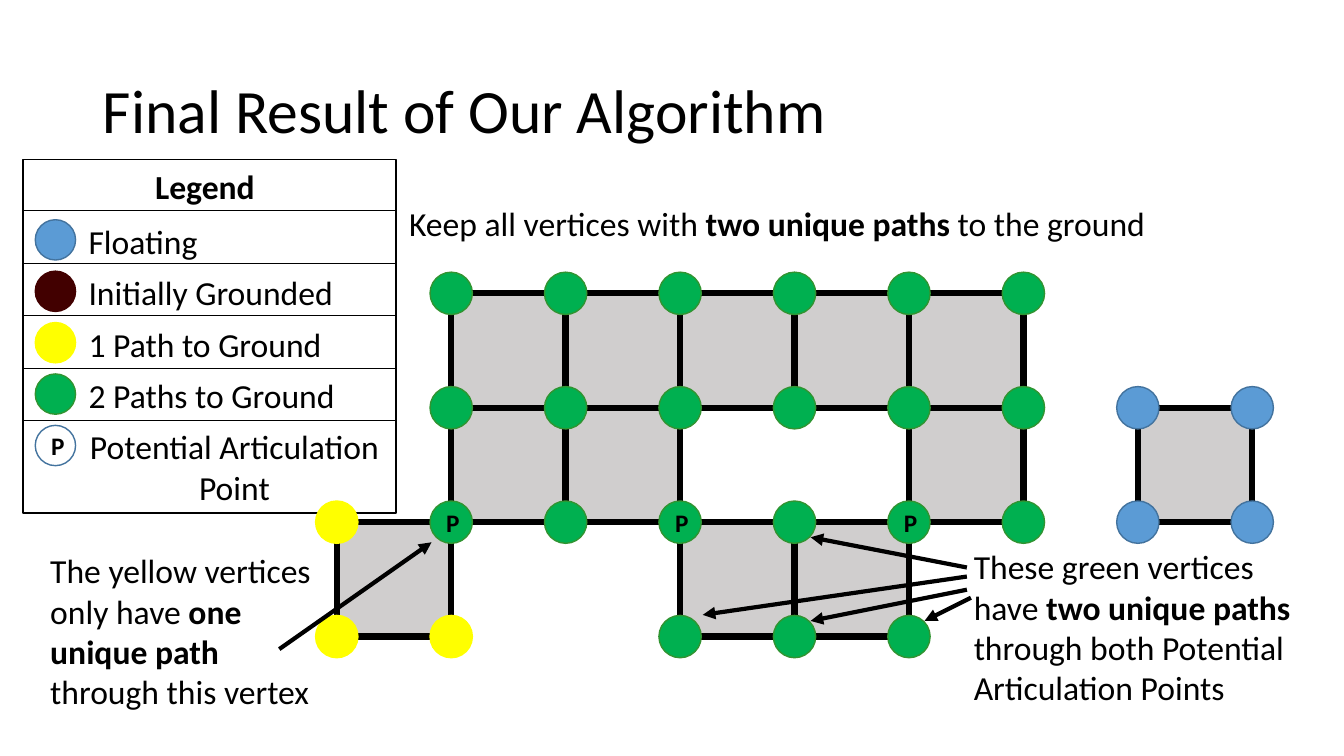
import pptx
import pptx.dml.color
import pptx.enum.shapes
import pptx.enum.text
import pptx.oxml.ns
import pptx.util
from lxml import etree

Inches, Pt = pptx.util.Inches, pptx.util.Pt
RGBColor = pptx.dml.color.RGBColor
MSO_SHAPE = pptx.enum.shapes.MSO_SHAPE
PP_ALIGN = pptx.enum.text.PP_ALIGN
MSO_ANCHOR = pptx.enum.text.MSO_ANCHOR

BLACK = RGBColor(0x00, 0x00, 0x00)
WHITE = RGBColor(0xFF, 0xFF, 0xFF)
GREY = RGBColor(0xD0, 0xCE, 0xCE)
BLUE = RGBColor(0x5B, 0x9B, 0xD5)
BLUE_EDGE = RGBColor(0x43, 0x73, 0x9E)
MAROON = RGBColor(0x42, 0x00, 0x00)
YELLOW = RGBColor(0xFF, 0xFF, 0x00)
GREEN = RGBColor(0x00, 0xB0, 0x50)
GREEN_EDGE = RGBColor(0x31, 0x94, 0x31)

TITLE = "Final Result of Our Algorithm"

# label, fill, outline, letter in the circle, label width
LEGEND = [
    ("Floating", BLUE, BLUE_EDGE, "", 1.29),
    ("Initially Grounded", MAROON, MAROON, "", 2.65),
    ("1 Path to Ground", YELLOW, YELLOW, "", 2.53),
    ("2 Paths to Ground", GREEN, GREEN_EDGE, "", 2.66),
    ("Potential Articulation Point", WHITE, BLUE_EDGE, "P", 3.09),
]

# left, top, width, height, wrap, runs of (text, bold)
NOTES = [
    (3.96, 1.96, 7.57, 0.5, False, [
        ("Keep all vertices with ", False), ("two unique paths ", True),
        ("to the ground", False)]),
    (0.4, 5.41, 2.86, 1.72, True, [
        ("The yellow vertices only have ", False), ("one unique path ", True),
        ("through this vertex", False)]),
    (9.56, 5.37, 3.63, 1.72, True, [
        ("These green vertices have ", False), ("two unique paths ", True),
        ("through both Potential Articulation Points", False)]),
]

# One letter per vertex: Green, Potential articulation, Yellow, Blue
VERTICES = [
    ".GGGGGG..",
    ".GGGGGGBB",
    "YPGPGPGBB",
    "YY.GGG...",
]
VERTEX_STYLES = {
    "G": (GREEN, GREEN_EDGE, ""),
    "P": (GREEN, GREEN_EDGE, "P"),
    "Y": (YELLOW, YELLOW, ""),
    "B": (BLUE, BLUE_EDGE, ""),
}
MISSING_EDGE = ((4, 1), (4, 2))
# column, row, columns wide; each is one row tall
FILLED_BLOCKS = [(1, 0, 5), (1, 1, 2), (5, 1, 1), (3, 2, 2), (7, 1, 1), (0, 2, 1)]

ARROWS = [
    ((2.77, 6.44), (4.28, 5.38)),
    ((9.59, 5.72), (6.97, 6.1)),
    ((9.63, 5.93), (9.17, 6.16)),
    ((9.59, 5.85), (8.04, 6.16)),
    ((9.59, 5.63), (8.04, 5.33)),
]

GRID_LEFT, GRID_TOP, PITCH = 3.34, 2.91, 1.135
VERTEX_SIZE = 0.42
LEGEND_LEFT, LEGEND_TOP, LEGEND_WIDTH, LEGEND_HEIGHT = 0.23, 1.58, 3.7, 3.51
LEGEND_DOT = 0.4

prs = pptx.Presentation()
prs.slide_width, prs.slide_height = Inches(13.33), Inches(7.5)
slide = prs.slides.add_slide(prs.slide_layouts[5])
shapes = slide.shapes


def add_runs(paragraph, runs, size):
    for text, bold in runs:
        run = paragraph.add_run()
        run.text = text
        font_values = {"name": "Calibri", "size": Pt(size), "bold": bold}
        for name, value in font_values.items():
            setattr(run.font, name, value)
        run.font.color.rgb = BLACK


def add_text(left, top, width, height, runs, wrap=False, align=PP_ALIGN.LEFT):
    box = shapes.add_textbox(Inches(left), Inches(top), Inches(width), Inches(height))
    frame = box.text_frame
    frame.word_wrap = wrap
    frame.auto_size = pptx.enum.text.MSO_AUTO_SIZE.SHAPE_TO_FIT_TEXT
    frame.paragraphs[0].alignment = align
    add_runs(frame.paragraphs[0], runs, 24)


def add_area(kind, left, top, width, height, fill, outline, letter=""):
    area = shapes.add_shape(kind, Inches(left), Inches(top), Inches(width), Inches(height))
    area.shadow.inherit = False
    if fill is None:
        area.fill.background()
    else:
        area.fill.solid()
        area.fill.fore_color.rgb = fill
    area.line.color.rgb = outline
    area.line.width = Pt(1)
    if letter:
        area.text_frame.vertical_anchor = MSO_ANCHOR.MIDDLE
        paragraph = area.text_frame.paragraphs[0]
        paragraph.alignment = PP_ALIGN.CENTER
        add_runs(paragraph, [(letter, True)], 18)


def add_line(start, end, weight, arrow=False):
    line = shapes.add_connector(pptx.enum.shapes.MSO_CONNECTOR.STRAIGHT,
                                *(Inches(value) for value in start + end))
    line.line.color.rgb = BLACK
    line.line.width = Pt(weight)
    qn = pptx.oxml.ns.qn
    if arrow:
        etree.SubElement(line.line._get_or_add_ln(), qn("a:tailEnd"), type="triangle")
    etree.SubElement(line._element.spPr, qn("a:effectLst"))


def vertex_center(column, row):
    return GRID_LEFT + column * PITCH, GRID_TOP + row * PITCH


def add_edge(first, second):
    """Join two neighbouring vertices rim to rim, if both are in the same part."""
    (col_a, row_a), (col_b, row_b) = first, second
    if row_b >= len(VERTICES) or col_b >= len(VERTICES[0]):
        return
    kinds = VERTICES[row_a][col_a] + VERTICES[row_b][col_b]
    if "." in kinds or kinds.count("B") == 1 or (first, second) == MISSING_EDGE:
        return
    (xa, ya), (xb, yb) = vertex_center(*first), vertex_center(*second)
    dx, dy = (col_b - col_a) * VERTEX_SIZE / 2, (row_b - row_a) * VERTEX_SIZE / 2
    add_line((xa + dx, ya + dy), (xb - dx, yb - dy), 4.5)


title = shapes.title
title_place = {"left": 0.92, "top": 0.4, "width": 11.5, "height": 1.45}
for side, length in title_place.items():
    setattr(title, side, Inches(length))
title.text_frame.vertical_anchor = MSO_ANCHOR.MIDDLE
heading = title.text_frame.paragraphs[0]
heading.alignment = PP_ALIGN.LEFT
heading.line_spacing = 0.9
add_runs(heading, [(TITLE, False)], 44)

# Legend
add_area(MSO_SHAPE.RECTANGLE, LEGEND_LEFT, LEGEND_TOP, LEGEND_WIDTH, LEGEND_HEIGHT,
         None, BLACK)
add_text(1.44, 1.6, 1.2, 0.5, [("Legend", True)])
for index, (label, fill, outline, letter, width) in enumerate(LEGEND):
    divider = 2.09 + index * 0.52
    add_line((LEGEND_LEFT, divider), (LEGEND_LEFT + LEGEND_WIDTH, divider), 0.5)
    entry_top = 2.14 + index * 0.51
    add_area(MSO_SHAPE.OVAL, 0.35, entry_top + 0.04, LEGEND_DOT, LEGEND_DOT,
             fill, outline, letter)
    two_lines = width > 3
    add_text(0.78, entry_top, width, 0.91 if two_lines else 0.5, [(label, False)],
             two_lines, PP_ALIGN.CENTER if two_lines else PP_ALIGN.LEFT)

# Grid of vertices
for column, row, columns in FILLED_BLOCKS:
    add_area(MSO_SHAPE.RECTANGLE, *vertex_center(column, row), columns * PITCH, PITCH,
             GREY, GREY)
for row, kinds in enumerate(VERTICES):
    for column, kind in enumerate(kinds):
        add_edge((column, row), (column + 1, row))
        add_edge((column, row), (column, row + 1))
        if kind in VERTEX_STYLES:
            x, y = vertex_center(column, row)
            add_area(MSO_SHAPE.OVAL, x - VERTEX_SIZE / 2, y - VERTEX_SIZE / 2,
                     VERTEX_SIZE, VERTEX_SIZE, *VERTEX_STYLES[kind])

for left, top, width, height, wrap, runs in NOTES:
    add_text(left, top, width, height, runs, wrap)
for start, end in ARROWS:
    add_line(start, end, 3, arrow=True)

prs.save("out.pptx")
